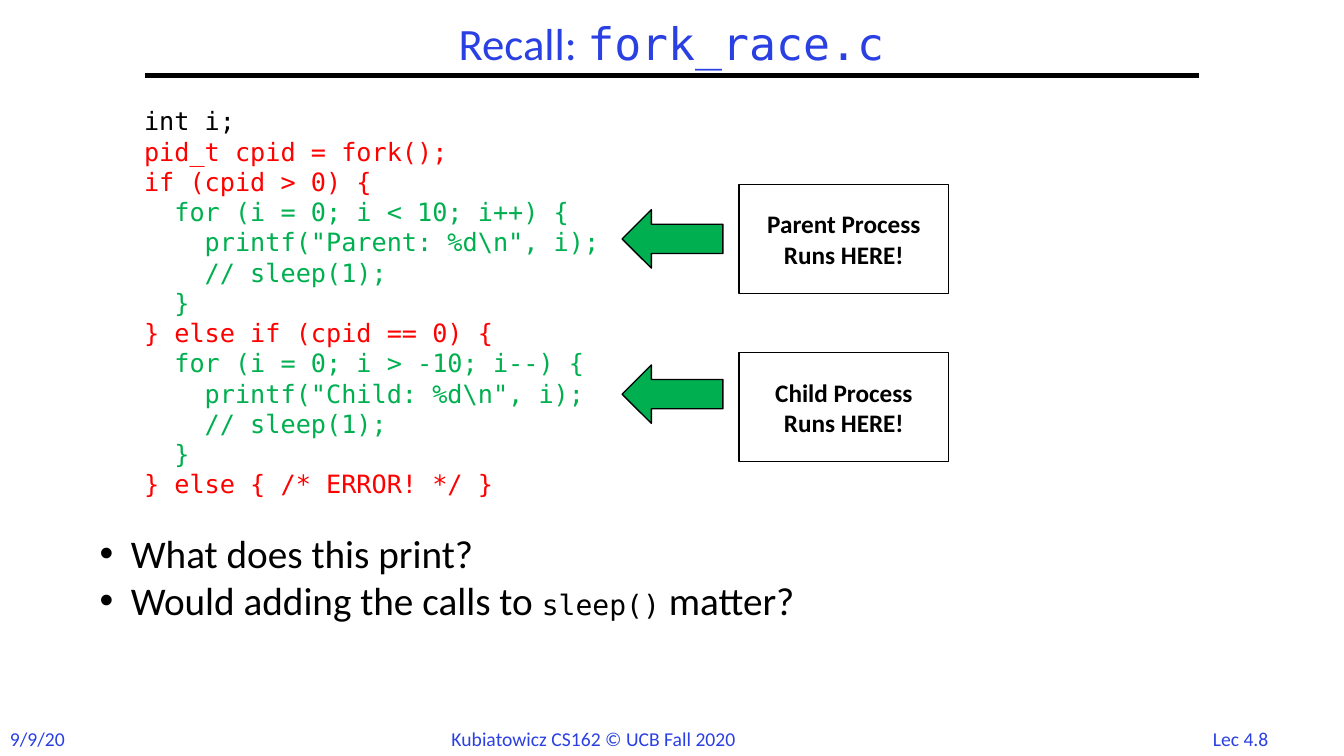
"""Build the slide that recalls fork_race.c."""
from lxml import etree
from pptx import Presentation
from pptx.dml.color import RGBColor
from pptx.enum.shapes import MSO_CONNECTOR, MSO_SHAPE
from pptx.enum.text import MSO_ANCHOR, PP_ALIGN
from pptx.oxml.ns import qn
from pptx.util import Inches, Pt

LEFT, CENTER = PP_ALIGN.LEFT, PP_ALIGN.CENTER
TOP, MIDDLE = MSO_ANCHOR.TOP, MSO_ANCHOR.MIDDLE
RECTANGLE, ARROW = MSO_SHAPE.RECTANGLE, MSO_SHAPE.RIGHT_ARROW
STRAIGHT = MSO_CONNECTOR.STRAIGHT
SANS, MONO = "Calibri", "DejaVu Sans Mono"
BLACK, WHITE, BLUE, RED, GREEN = "000000", "FFFFFF", "2A40E2", "FF0000", "00B050"


def color(value):
    return RGBColor.from_string(value)


def write(shape, paragraphs, size=18, font=SANS, fill=BLACK, bold=False,
          align=LEFT, anchor=TOP, wrap=True):
    """Fill a shape with paragraphs, each a list of (text, overrides) runs."""
    frame = shape.text_frame
    frame.word_wrap = wrap
    frame.vertical_anchor = anchor
    for index, runs in enumerate(paragraphs):
        paragraph = frame.paragraphs[0] if index == 0 else frame.add_paragraph()
        paragraph.alignment = align
        for text, overrides in runs:
            run = paragraph.add_run()
            run.text = text
            run.font.name = overrides.get("font", font)
            run.font.size = Pt(overrides.get("size", size))
            run.font.color.rgb = color(overrides.get("fill", fill))
            run.font.bold = bold
    return frame.paragraphs


presentation = Presentation()
presentation.slide_width = Inches(13.33)
presentation.slide_height = Inches(7.5)
slide = presentation.slides.add_slide(presentation.slide_layouts[6])
shapes = slide.shapes

footers = [
    ("Lec 4.8", 11.82, 0.97, CENTER),
    ("9/9/20", 0, 0.75, LEFT),
    ("Kubiatowicz CS162 © UCB Fall 2020", 4.38, 3.43, LEFT),
]
for text, left, width, align in footers:
    footer = shapes.add_textbox(Inches(left), Inches(7.16), Inches(width), Inches(0.34))
    write(footer, [[(text, {})]], size=14, fill=BLUE, align=align, wrap=False)

rule = shapes.add_connector(STRAIGHT, Inches(1.44), Inches(0.75), Inches(11.89), Inches(0.75))
rule.line.color.rgb = color(BLACK)
rule.line.width = Pt(3)
etree.SubElement(rule._element.spPr, qn("a:effectLst"))

title = shapes.add_textbox(Inches(1.44), Inches(0.17), Inches(10.44), Inches(0.58))
title_runs = [("Recall: ", {}), ("fork_race.c", {"font": MONO})]
title_paragraphs = write(title, [title_runs], size=32, fill=BLUE, align=CENTER, anchor=MIDDLE)
title_paragraphs[0].line_spacing = 0.9

code = [
    ("int i;", BLACK),
    ("pid_t cpid = fork();", RED),
    ("if (cpid > 0) {", RED),
    ("  for (i = 0; i < 10; i++) {", GREEN),
    ('    printf("Parent: %d\\n", i);', GREEN),
    ("    // sleep(1);", GREEN),
    ("  }", GREEN),
    ("} else if (cpid == 0) {", RED),
    ("  for (i = 0; i > -10; i--) {", GREEN),
    ('    printf("Child: %d\\n", i);', GREEN),
    ("    // sleep(1);", GREEN),
    ("  }", GREEN),
    ("} else { /* ERROR! */ }", RED),
]
code_paragraphs = [[(text, {"font": MONO, "size": 18, "fill": fill})] for text, fill in code]
questions = [
    [("What does this print?", {})],
    [("Would adding the calls to ", {}), ("sleep()", {"font": MONO, "size": 20}), (" matter?", {})],
]
body = shapes.add_textbox(Inches(0.89), Inches(1), Inches(8.03), Inches(5.83))
body_paragraphs = write(body, code_paragraphs + questions, size=28)
for paragraph in body_paragraphs[:len(code)]:
    paragraph.line_spacing = Pt(21.6)
    paragraph._p.get_or_add_pPr().set("marL", str(Inches(0.44)))
for paragraph in body_paragraphs[len(code):]:
    properties = paragraph._p.get_or_add_pPr()
    properties.set("marL", str(Inches(0.31)))
    properties.set("indent", str(-Inches(0.31)))
    etree.SubElement(properties, qn("a:buFont")).set("typeface", "Arial")
    etree.SubElement(properties, qn("a:buChar")).set("char", "•")
body_paragraphs[len(code)].space_before = Pt(22)

processes = [("Parent Process", 1.83, 2.08), ("Child Process", 3.5, 3.62)]
for name, box_top, arrow_top in processes:
    box = shapes.add_shape(RECTANGLE, Inches(7.33), Inches(box_top), Inches(2.08), Inches(1.08))
    arrow = shapes.add_shape(ARROW, Inches(6.17), Inches(arrow_top), Inches(1), Inches(0.58))
    arrow.rotation = 180
    for shape, fill in ((box, WHITE), (arrow, GREEN)):
        shape.shadow.inherit = False
        shape.fill.solid()
        shape.fill.fore_color.rgb = color(fill)
        shape.line.color.rgb = color(BLACK)
        shape.line.width = Pt(1)
    write(box, [[(name, {})], [("Runs HERE!", {})]], bold=True, align=CENTER, anchor=MIDDLE)

presentation.save("out.pptx")
